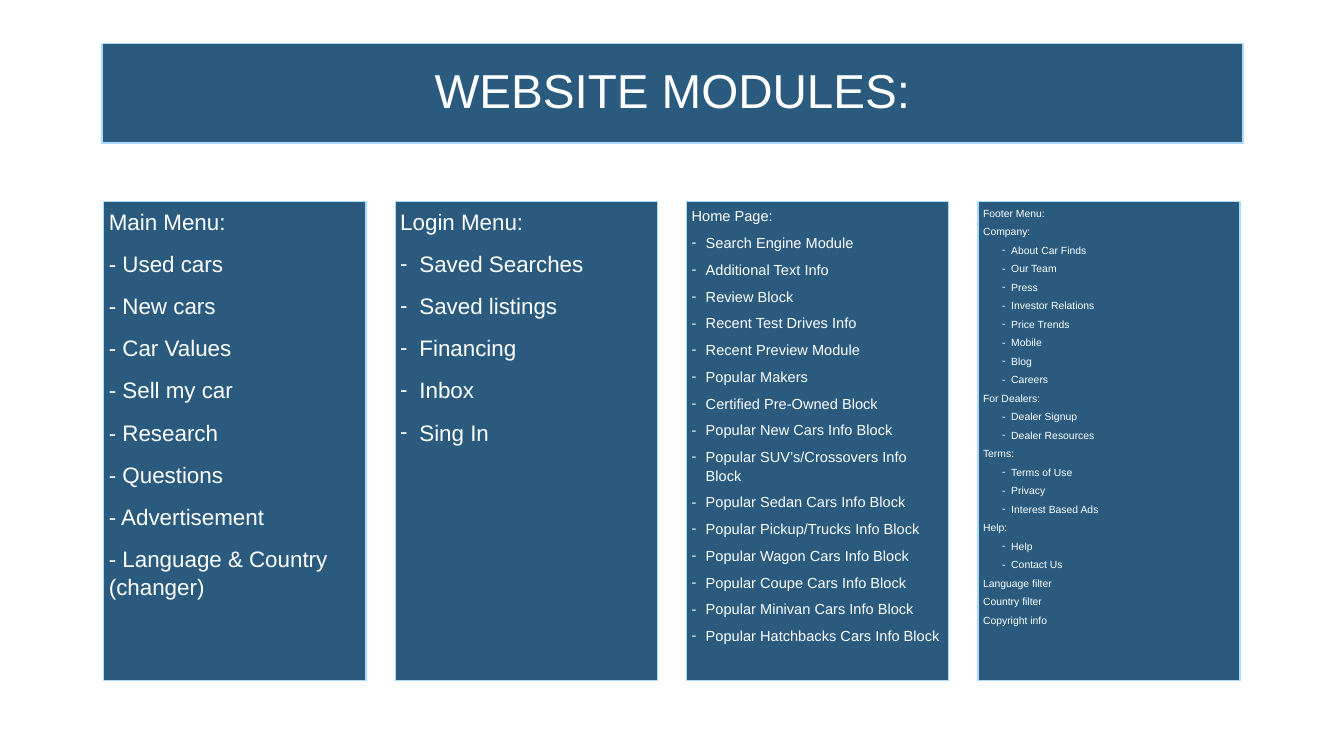
from pptx import Presentation
from pptx.dml.color import RGBColor
from pptx.enum.shapes import MSO_SHAPE
from pptx.enum.text import MSO_ANCHOR, MSO_AUTO_SIZE, PP_ALIGN
from pptx.oxml.ns import qn
from pptx.util import Inches, Pt
from lxml.etree import SubElement


def color(hex_text):
    return RGBColor.from_string(hex_text)


def style_panel(panel, anchor):
    panel.fill.solid()
    panel.fill.fore_color.rgb = color("2A5B7F")
    panel.line.color.rgb = color("ABDAFC")
    panel.line.width = Pt(1)
    margin = Inches(0.05)
    frame_format = {
        "margin_left": margin, "margin_right": margin,
        "margin_top": margin, "margin_bottom": margin,
        "word_wrap": True, "auto_size": MSO_AUTO_SIZE.NONE,
        "vertical_anchor": anchor,
    }
    for name, value in frame_format.items():
        setattr(panel.text_frame, name, value)


# Menu content: groups of a heading and its bulleted entries
main_menu = [(entry, []) for entry in (
    "Main Menu:", "- Used cars", "- New cars", "- Car Values",
    "- Sell my car", "- Research", "- Questions", "- Advertisement",
    "- Language & Country (changer)")]
login_menu = [("Login Menu:", [
    "Saved Searches", "Saved listings", "Financing", "Inbox", "Sing In"])]
home_page = [("Home Page:", [
    "Search Engine Module", "Additional Text Info", "Review Block",
    "Recent Test Drives Info", "Recent Preview Module", "Popular Makers",
    "Certified Pre-Owned Block", "Popular New Cars Info Block",
    "Popular SUV’s/Crossovers Info Block", "Popular Sedan Cars Info Block",
    "Popular Pickup/Trucks Info Block", "Popular Wagon Cars Info Block",
    "Popular Coupe Cars Info Block", "Popular Minivan Cars Info Block",
    "Popular Hatchbacks Cars Info Block"])]
footer_menu = [
    ("Footer Menu:", []),
    ("Company:", ["About Car Finds", "Our Team", "Press", "Investor Relations",
                  "Price Trends", "Mobile", "Blog", "Careers"]),
    ("For Dealers:", ["Dealer Signup", "Dealer Resources"]),
    ("Terms:", ["Terms of Use", "Privacy", "Interest Based Ads"]),
    ("Help:", ["Help", "Contact Us"]),
    ("Language filter", []),
    ("Country filter", []),
    ("Copyright info", []),
]

# Groups, font size, space before, line spacing, bullet level, indent, hang
modules = [
    (main_menu, 16, 10, 1.05, 0, 0, 0),
    (login_menu, 16, 10, 1.05, 0, 0.19, 0.19),
    (home_page, 10.4, 6, 1.05, 0, 0.14, 0.14),
    (footer_menu, 7.4, 4, 1.04, 1, 0.28, 0.09),
]

# Slide
deck = Presentation()
deck.slide_width, deck.slide_height = Inches(13.33), Inches(7.5)
slide = deck.slides.add_slide(deck.slide_layouts[5])

# Title banner
banner = slide.shapes.title
banner.left, banner.top = Inches(1.01), Inches(0.43)
banner.width, banner.height = Inches(11.32), Inches(0.99)
style_panel(banner, MSO_ANCHOR.MIDDLE)
banner.text_frame.text = "WEBSITE MODULES:"
heading = banner.text_frame.paragraphs[0]
heading.alignment = PP_ALIGN.CENTER
heading.line_spacing = 0.9
heading.font.size = Pt(34)
heading.font.name = "Arial"
heading.font.color.rgb = color("FFFFFF")

# Module columns
FIRST_LEFT, COLUMN_STEP = 1.03, 2.89
for column, (groups, size, gap, spacing, level, indent, hang) in enumerate(modules):
    panel = slide.shapes.add_shape(
        MSO_SHAPE.RECTANGLE, Inches(FIRST_LEFT + column * COLUMN_STEP),
        Inches(2), Inches(2.6), Inches(4.75))
    panel.shadow.inherit = False
    style_panel(panel, MSO_ANCHOR.TOP)

    lines = []
    for group_heading, entries in groups:
        lines.append((group_heading, False))
        lines += [(entry, True) for entry in entries]

    for row, (wording, bulleted) in enumerate(lines):
        frame = panel.text_frame
        line = frame.add_paragraph() if row else frame.paragraphs[0]
        line.text = wording
        line.alignment = PP_ALIGN.LEFT
        line.line_spacing = spacing
        if row:
            line.space_before = Pt(gap)
        if bulleted:
            line.level = level
            properties = line._p.get_or_add_pPr()
            properties.set("marL", str(Inches(indent)))
            properties.set("indent", str(-Inches(hang)))
            SubElement(properties, qn("a:buFont")).set("typeface", "Arial")
            SubElement(properties, qn("a:buChar")).set("char", "-")
        line.font.size = Pt(size)
        line.font.name = "Arial"
        line.font.color.rgb = color("FFFFFF")

deck.save("out.pptx")
